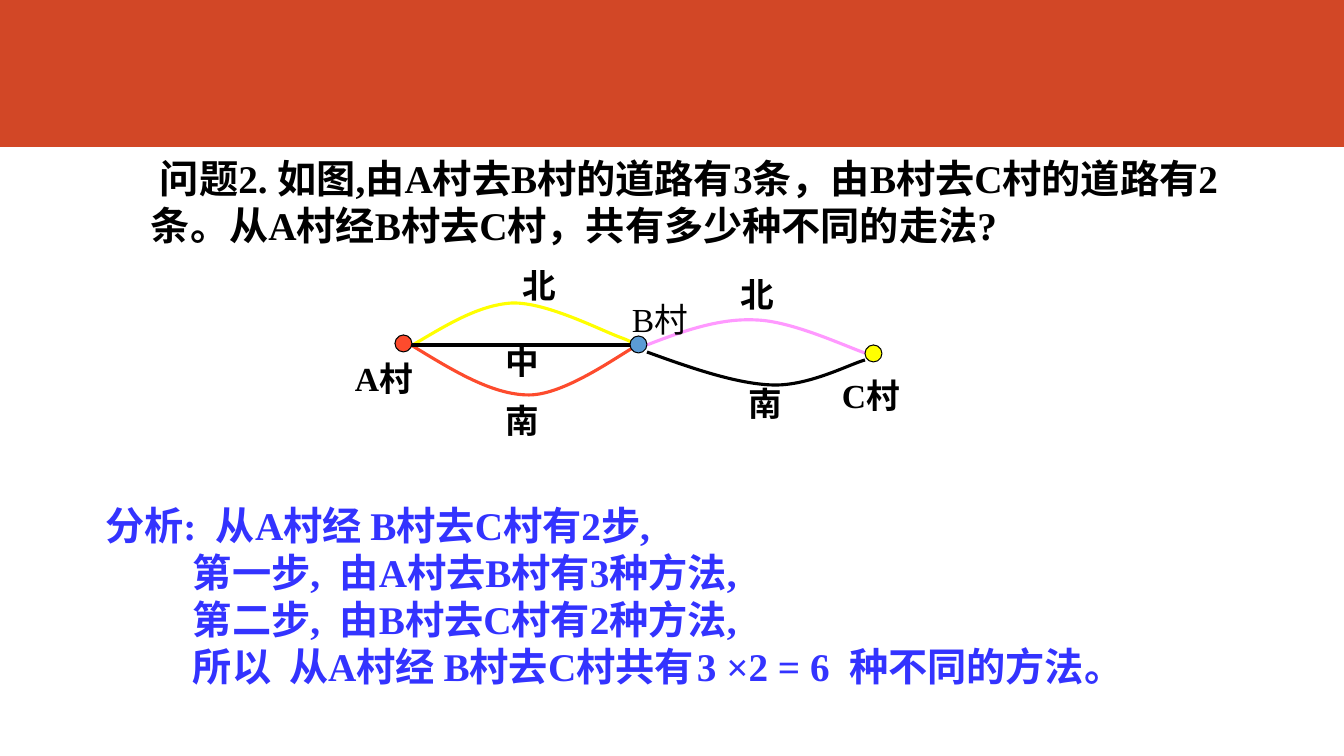
from lxml.etree import SubElement
from pptx import Presentation
from pptx.dml.color import RGBColor
from pptx.enum.shapes import MSO_CONNECTOR, MSO_SHAPE
from pptx.oxml.ns import qn
from pptx.util import Pt

EMU_PER_PIXEL = 914400 / 100.8
FONT = "Times New Roman"
BANNER = RGBColor(0xD2, 0x47, 0x26)
BLACK = RGBColor(0, 0, 0)
WHITE = RGBColor(0xFF, 0xFF, 0xFF)
BLUE = RGBColor(0x33, 0x33, 0xFF)
YELLOW = RGBColor(0xFF, 0xFF, 0)
RED = RGBColor(0xFD, 0x4B, 0x2D)
PINK = RGBColor(0xFF, 0x99, 0xFF)
SKY = RGBColor(0x5B, 0x9B, 0xD5)

ROADS = [
    (YELLOW, [(411, 346), (445, 326), (478, 305), (512, 303), (547, 302),
              (602, 331), (622, 338), (641, 345), (629, 345), (630, 346)]),
    (RED, [(411, 345), (452, 370), (492, 395), (529, 395),
           (566, 395), (622, 353), (638, 345)]),
    (PINK, [(647, 345), (683, 331), (720, 318), (756, 320),
            (792, 321), (847, 347), (865, 353)]),
    (BLACK, [(647, 352), (691, 368), (737, 384), (773, 385),
             (809, 386), (850, 364), (865, 360)]),
]
VILLAGES = [(630, 336, SKY), (395, 335, RED), (865, 345, YELLOW)]
LABELS = [
    ("A村", 345, 353, 93, True),
    ("B村", 622, 294, 101, False),
    ("C村", 832, 370, 109, True),
    ("北", 731, 269, 118, True),
    ("南", 496, 395, 55, True),
    ("中", 496, 336, 68, True),
    ("北", 512, 260, 118, True),
    ("南", 739, 378, 55, True),
]
QUESTION = ("问题2. 如图,由A村去B村的道路有3条，由B村去C村的道路有2条。"
            "从A村经B村去C村，共有多少种不同的走法?")
ANALYSIS = "分析:  从A村经 B村去C村有2步,"
STEPS = [
    "第一步,  由A村去B村有3种方法,",
    "第二步,  由B村去C村有2种方法,",
    "所以  从A村经 B村去C村共有\t3 ×2 = 6  种不同的方法。",
]


def px(length):
    """Turn pixels into EMU."""
    return round(length * EMU_PER_PIXEL)


def add_box(shapes, left, top, width, height, margin=10):
    """Add a wrapping text box and return its text frame."""
    box = shapes.add_textbox(px(left), px(top), px(width), px(height))
    frame = box.text_frame
    frame.word_wrap = True
    frame.margin_left = px(margin)
    return frame


def write(para, text, size, color, bold=True):
    """Add one formatted run to a paragraph."""
    span = para.add_run()
    span.text = text
    span.font.name = FONT
    span.font.size = Pt(size)
    span.font.bold = bold
    span.font.color.rgb = color


def indent(para, left=0, first=0, tab=None):
    """Set a paragraph's left margin, first-line indent and tab stop."""
    properties = para._p.get_or_add_pPr()
    properties.set("marL", str(px(left)))
    properties.set("indent", str(px(first)))
    if tab:
        stops = SubElement(properties, qn("a:tabLst"))
        SubElement(stops, qn("a:tab"), pos=str(px(tab)), algn="l")


def add_filled(shapes, kind, left, top, width, height, fill, line=None):
    """Add a flat preset shape with an optional thin outline."""
    shape = shapes.add_shape(kind, px(left), px(top), px(width), px(height))
    shape.shadow.inherit = False
    shape.fill.solid()
    shape.fill.fore_color.rgb = fill
    if line is None:
        shape.line.fill.background()
    else:
        shape.line.color.rgb = line
        shape.line.width = Pt(0.75)


def add_curve(shapes, points, color):
    """Draw a chain of cubic curves through end and control points."""
    builder = shapes.build_freeform(*points[0], scale=EMU_PER_PIXEL)
    builder.add_line_segments(points[1:], close=False)
    curve = builder.convert_to_shape()
    curve.shadow.inherit = False
    curve.fill.background()
    curve.line.color.rgb = color
    curve.line.width = Pt(2.25)
    segments = list(curve._element.iter(qn("a:lnTo")))
    outline = segments[0].getparent()
    for start in range(0, len(segments), 3):
        bezier = SubElement(outline, qn("a:cubicBezTo"))
        for segment in segments[start:start + 3]:
            bezier.append(segment[0])
            outline.remove(segment)


def add_straight_road(shapes, left, right, level):
    """Draw the level middle road."""
    road = shapes.add_connector(
        MSO_CONNECTOR.STRAIGHT, px(left), px(level), px(right), px(level))
    road.line.color.rgb = BLACK
    road.line.width = Pt(2.25)
    SubElement(road._element.spPr, qn("a:effectLst"))


def add_map(page):
    """Draw the roads, villages and labels as one group."""
    shapes = page.shapes.add_group_shape().shapes
    for color, points in ROADS:
        add_curve(shapes, points, color)
    add_straight_road(shapes, 411, 630, 345)
    for left, top, fill in VILLAGES:
        add_filled(shapes, MSO_SHAPE.OVAL, left, top, 17, 17, fill, BLACK)
    for text, left, top, width, bold in LABELS:
        frame = add_box(shapes, left, top, width, 50)
        write(frame.paragraphs[0], text, 24, BLACK, bold)


def add_question(page):
    """Write the problem statement."""
    para = add_box(page.shapes, 141, 149, 1098, 152).paragraphs[0]
    indent(para, first=9)
    write(para, QUESTION, 28, BLACK)


def add_analysis(page):
    """Write the analysis and its indented steps."""
    frame = add_box(page.shapes, 86, 496, 1154, 248, margin=19)
    write(frame.paragraphs[0], ANALYSIS, 28, BLUE)
    for step in STEPS:
        para = frame.add_paragraph()
        indent(para, left=88, tab=691 if "\t" in step else None)
        write(para, step, 28, BLUE)


def main():
    """Build and save the deck."""
    deck = Presentation()
    deck.slide_width, deck.slide_height = px(1344), px(756)
    page = deck.slides.add_slide(deck.slide_layouts[6])
    page.background.fill.solid()
    page.background.fill.fore_color.rgb = WHITE
    add_filled(page.shapes, MSO_SHAPE.RECTANGLE, 0, 0, 1344, 147, BANNER)
    add_analysis(page)
    add_question(page)
    add_map(page)
    deck.save("out.pptx")


main()
